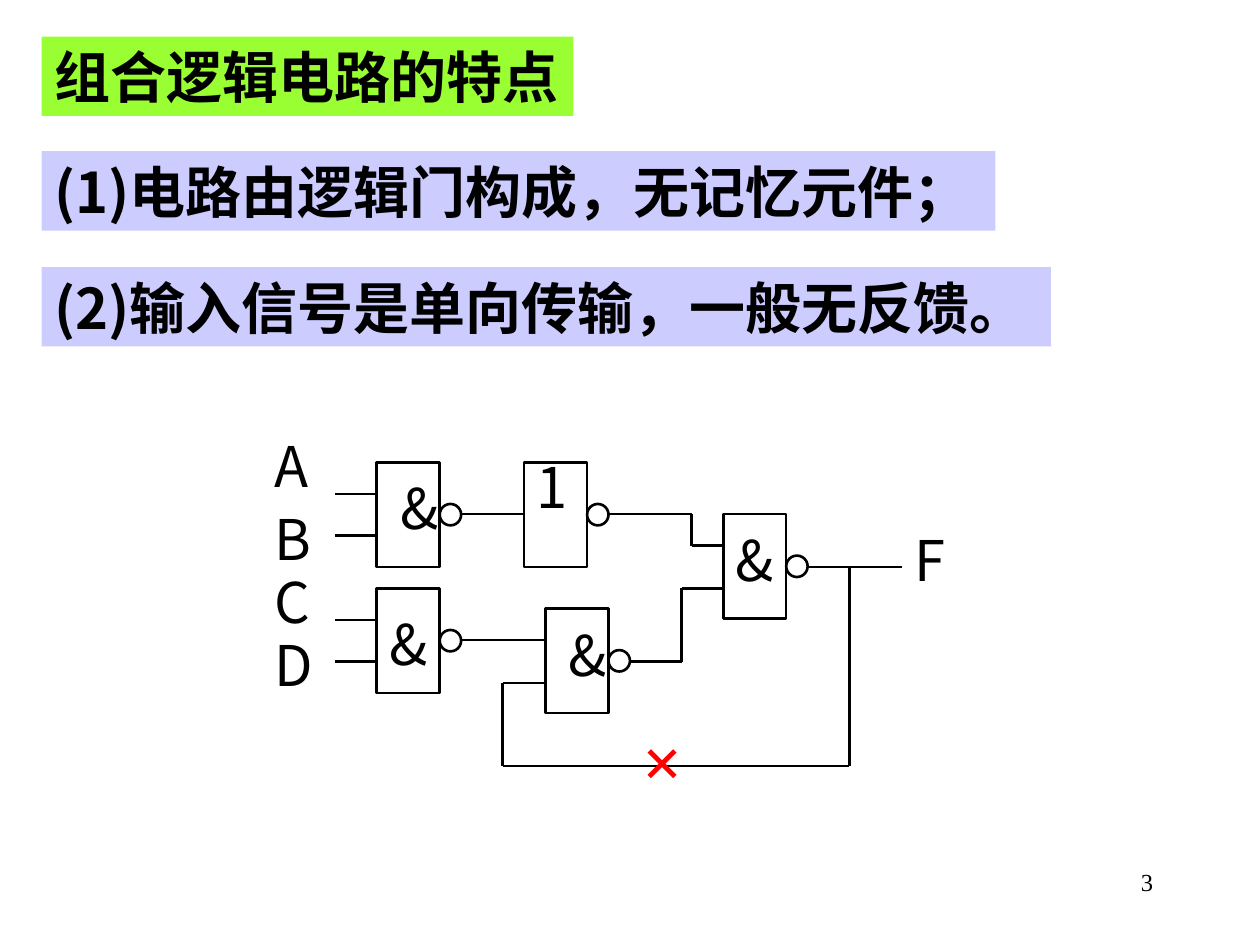
from itertools import pairwise

from lxml.etree import SubElement
from pptx import Presentation
from pptx.dml.color import RGBColor
from pptx.enum.shapes import MSO_CONNECTOR, MSO_SHAPE
from pptx.enum.text import MSO_ANCHOR as Anchor, MSO_AUTO_SIZE, PP_ALIGN as Align
from pptx.oxml.ns import qn
from pptx.util import Inches, Pt

SANS, SERIF = "Noto Sans CJK SC", "Times New Roman"
BLACK, RED, GREEN, LILAC = "000000", "FF0000", "99FF33", "CCCCFF"
GATE_W, GATE_H, BUBBLE = 0.5, 0.83, 0.17
UPPER_IN, LOWER_IN = 0.25, 0.58  # input heights below a gate's top
LABEL_W, LABEL_H = 0.42, 0.63


def paint(color_format, hex_color):
    color_format.rgb = RGBColor.from_string(hex_color)


def write(holder, text, size=32, font=SANS, color=BLACK, bold=False,
          align=Align.LEFT, anchor=Anchor.MIDDLE):
    frame = holder.text_frame
    frame.word_wrap = True
    frame.auto_size = MSO_AUTO_SIZE.NONE
    frame.vertical_anchor = anchor
    frame.margin_left = Inches(0.1)
    frame.margin_right = Inches(0.1 if align == Align.RIGHT else 0)
    frame.margin_top = frame.margin_bottom = Inches(0.05 if anchor == Anchor.TOP else 0)
    line = frame.paragraphs[0]
    line.alignment = align
    line.space_before = Pt(0)
    run = line.add_run()
    run.text = text
    run.font.size, run.font.name, run.font.bold = Pt(size), font, bold
    paint(run.font.color, color)
    SubElement(run.font._element, qn("a:ea"), typeface=font)
    return line


def label(shapes, text, left, top, width=LABEL_W, height=LABEL_H, **style):
    holder = shapes.add_textbox(*map(Inches, (left, top, width, height)))
    write(holder, text, **style)


def banner(placeholder, text, top, width, fill):
    """Move a template placeholder and make it a filled, bullet-free strip."""
    placeholder.left, placeholder.top = Inches(0.33), Inches(top)
    placeholder.width, placeholder.height = Inches(width), Inches(LABEL_H)
    placeholder.fill.solid()
    paint(placeholder.fill.fore_color, fill)
    props = write(placeholder, text, bold=True)._p.get_or_add_pPr()
    props.set("marL", "0")
    props.set("indent", "0")
    SubElement(props, qn("a:buNone"))


def outline(shapes, kind, left, top, width, height):
    part = shapes.add_shape(kind, *map(Inches, (left, top, width, height)))
    part.shadow.inherit = False
    part.fill.background()
    paint(part.line.color, BLACK)
    part.line.width = Pt(1.5)


def wire(shapes, *points):
    """Join successive points with straight lines."""
    for start, end in pairwise(points):
        segment = shapes.add_connector(MSO_CONNECTOR.STRAIGHT,
                                       *map(Inches, (*start, *end)))
        paint(segment.line.color, BLACK)
        segment.line.width = Pt(1.5)
        SubElement(segment._element.spPr, qn("a:effectLst"))


def gate(shapes, left, top, symbol, dx, dy):
    """A gate box with an inverting bubble on its output."""
    outline(shapes, MSO_SHAPE.RECTANGLE, left, top, GATE_W, GATE_H)
    outline(shapes, MSO_SHAPE.OVAL, left + GATE_W, top + (GATE_H - BUBBLE) / 2,
            BUBBLE, BUBBLE)
    label(shapes, symbol, left + dx, top + dy)


def circuit(shapes):
    # Gates: place, symbol and symbol offset
    for spec_row in ((2.99, 3.67, "&", 0.09, 0.04), (2.99, 4.67, "&", 0, 0.12),
                     (4.33, 4.83, "&", 0.08, 0.05), (5.74, 4.08, "&", 0, 0.04),
                     (4.16, 3.67, "1", 0, -0.13)):
        gate(shapes, *spec_row)

    # Inputs of the two first-stage gates
    for gate_top in (3.67, 4.67):
        for offset in (UPPER_IN, LOWER_IN):
            wire(shapes, (2.66, gate_top + offset), (2.99, gate_top + offset))

    # Links between stages, output, and feedback loop
    wire(shapes, (3.66, 4.08), (4.16, 4.08))
    wire(shapes, (3.66, 5.08), (4.33, 5.08))
    wire(shapes, (4.83, 4.08), (5.49, 4.08), (5.49, 4.33), (5.74, 4.33))
    wire(shapes, (5, 5.25), (5.41, 5.25), (5.41, 4.67), (5.74, 4.67))
    wire(shapes, (6.41, 4.5), (7.16, 4.5))
    wire(shapes, (4.33, 5.42), (3.99, 5.42), (3.99, 6.08), (6.74, 6.08), (6.74, 4.5))

    # Signal names
    for signal, top in zip("ABCD", (3.38, 3.96, 4.46, 4.96)):
        label(shapes, signal, 2.08, top)
    label(shapes, "F", 7.16, 4.12)


def main():
    deck = Presentation()
    deck.slide_width, deck.slide_height = Inches(10), Inches(7.5)
    slide = deck.slides.add_slide(deck.slide_layouts[3])  # title and two bodies
    title, feature_one, feature_two = list(slide.placeholders)[:3]

    # Heading and the two features
    banner(title, "组合逻辑电路的特点", 0.29, 4.22, GREEN)
    banner(feature_one, "(1)电路由逻辑门构成，无记忆元件；", 1.2, 7.57, LILAC)
    banner(feature_two, "(2)输入信号是单向传输，一般无反馈。", 2.12, 8.01, LILAC)

    # Circuit, with its feedback path crossed out
    circuit(slide.shapes.add_group_shape().shapes)
    label(slide.shapes, "×", 5, 5.64, 0.76, 0.77,
          size=40, font=SERIF, color=RED, bold=True)

    # Page number
    label(slide.shapes, "3", 7.17, 6.83, 2.08, 0.5, size=14, font=SERIF,
          align=Align.RIGHT, anchor=Anchor.TOP)
    deck.save("out.pptx")


if __name__ == "__main__":
    main()
